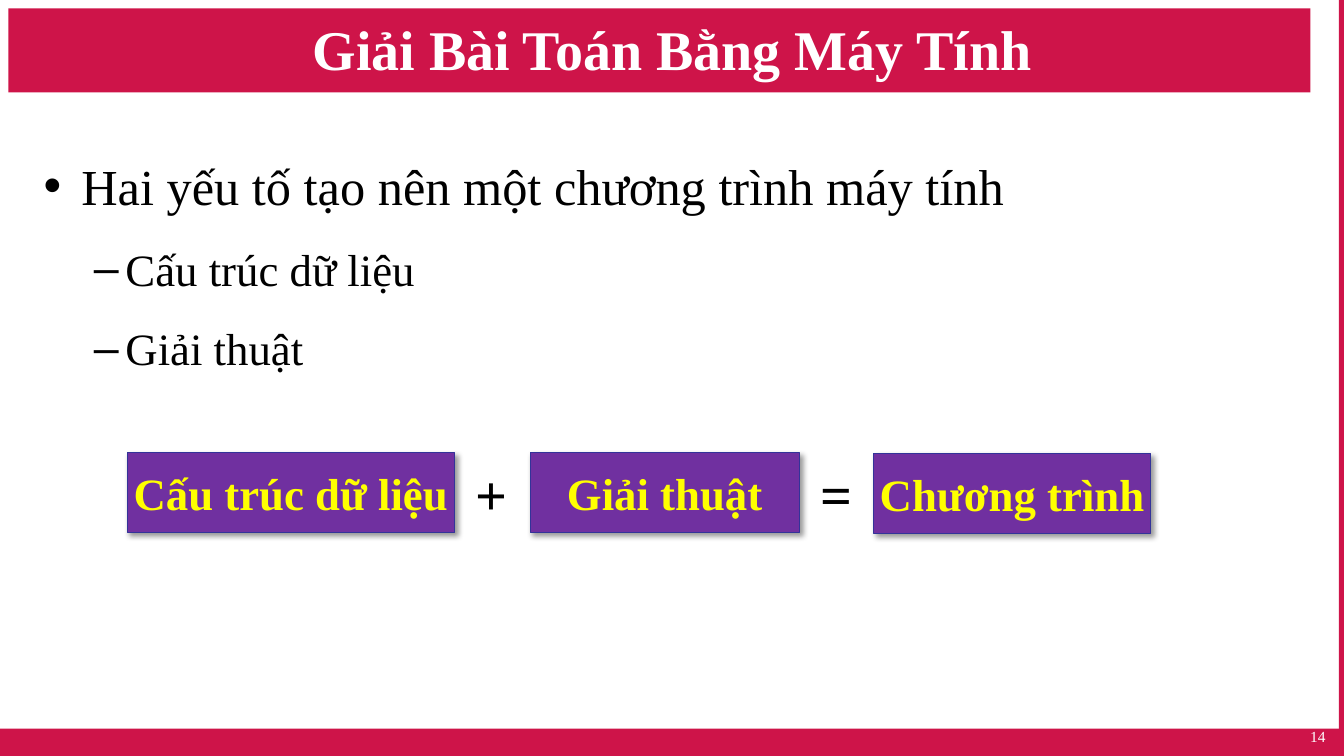
from lxml import etree
from pptx import Presentation
from pptx import util as u
from pptx.dml.color import RGBColor
from pptx.enum import shapes, text
from pptx.oxml import parse_xml
from pptx.oxml.ns import nsdecls, qn

COLORS = {
    "crimson": "CE1449", "purple": "7030A0", "navy": "333399",
    "yellow": "FFFF00", "white": "FFFFFF", "black": "000000",
}
FONT = "Times New Roman"
ALIGN = text.PP_ALIGN
MIDDLE = text.MSO_ANCHOR.MIDDLE


class Deck:
    def __init__(self, width, height):
        self.prs = Presentation()
        self.prs.slide_width, self.prs.slide_height = u.Pt(width), u.Pt(height)
        self.s = self.prs.slides.add_slide(self.prs.slide_layouts[5])

    def color(self, name):
        return RGBColor.from_string(COLORS[name])

    def run(self, p, words, size, color="black", bold=False):
        r = p.add_run()
        r.text = words
        r.font.name, r.font.size, r.font.bold = FONT, u.Pt(size), bold
        r.font.color.rgb = self.color(color)

    def rect(self, box, fill):
        sp = self.s.shapes.add_shape(shapes.MSO_SHAPE.RECTANGLE, *map(u.Pt, box))
        sp.shadow.inherit = False
        sp.fill.solid()
        sp.fill.fore_color.rgb = self.color(fill)
        sp.line.fill.background()
        return sp

    def title(self, box, words):
        sp = self.s.shapes.title
        sp.left, sp.top, sp.width, sp.height = map(u.Pt, box)
        # Bring the title in front of the bar drawn before it.
        sp.element.getparent().append(sp.element)
        tf = sp.text_frame
        tf.auto_size, tf.vertical_anchor = text.MSO_AUTO_SIZE.NONE, MIDDLE
        p = tf.paragraphs[0]
        p.alignment = ALIGN.CENTER
        self.run(p, words, 40, "white", True)

    def text_box(self, box, wrap=True):
        tf = self.s.shapes.add_textbox(*map(u.Pt, box)).text_frame
        tf.word_wrap = wrap
        return tf

    def label(self, box, words, size, color="black", bold=False,
              align=ALIGN.LEFT, wrap=True):
        p = self.text_box(box, wrap).paragraphs[0]
        p.alignment = align
        self.run(p, words, size, color, bold)

    def bullets(self, box, items):
        """Each item is (level, words)."""
        styles = [("•", 27, -27, 36), ("–", 58.5, -22.5, 32)]
        tf = self.text_box(box)
        for i, (level, words) in enumerate(items):
            char, margin, indent, size = styles[level]
            p = tf.add_paragraph() if i else tf.paragraphs[0]
            p.level, p.alignment, p.line_spacing = level, ALIGN.JUSTIFY, 1.4
            if i:
                p.space_before = u.Pt(3)
            pPr = p._p.get_or_add_pPr()
            pPr.set("marL", str(u.Pt(margin)))
            pPr.set("indent", str(u.Pt(indent)))
            etree.SubElement(pPr, qn("a:buFont")).set("typeface", "Arial")
            etree.SubElement(pPr, qn("a:buChar")).set("char", char)
            self.run(p, words, size)

    def card(self, box, words):
        sp = self.rect(box, "purple")
        sp.line.color.rgb = self.color("navy")
        sp.line.width = u.Pt(0.75)
        sp.element.spPr.find(qn("a:effectLst")).append(parse_xml(
            f'<a:outerShdw {nsdecls("a")} blurRad="{u.Pt(4)}" dist="{u.Pt(3)}" '
            f'dir="2700000" algn="tl" rotWithShape="0">'
            f'<a:srgbClr val="{COLORS["black"]}"><a:alpha val="40000"/>'
            f'</a:srgbClr></a:outerShdw>'))
        tf = sp.text_frame
        tf.word_wrap, tf.vertical_anchor = False, MIDDLE
        p = tf.paragraphs[0]
        p.alignment = ALIGN.CENTER
        self.run(p, words, 32, "yellow", True)


def main():
    d = Deck(960, 540)
    for bar in [(6, 6, 930, 60), (0, 520.5, 960, 19.5), (956.4, 0, 3.6, 540)]:
        d.rect(bar, "crimson")
    d.title((48, 12, 864, 45), "Giải Bài Toán Bằng Máy Tính")
    d.bullets((24, 90, 912, 420), [
        (0, "Hai yếu tố tạo nên một chương trình máy tính"),
        (1, "Cấu trúc dữ liệu"),
        (1, "Giải thuật"),
    ])
    d.label((730, 516, 224, 18), "14", 11, "white", align=ALIGN.RIGHT)

    for left, top, width, words in [
        (90.8, 323.3, 234, "Cấu trúc dữ liệu"),
        (378.7, 323.3, 192.3, "Giải thuật"),
        (624, 324, 198, "Chương trình"),
    ]:
        d.card((left, top, width, 57), words)
    for left, sign in [(332.8, "+"), (578.7, "=")]:
        d.label((left, 324.4, 35.5, 55.7), sign, 40, bold=True, wrap=False)
    d.prs.save("out.pptx")


if __name__ == "__main__":
    main()
